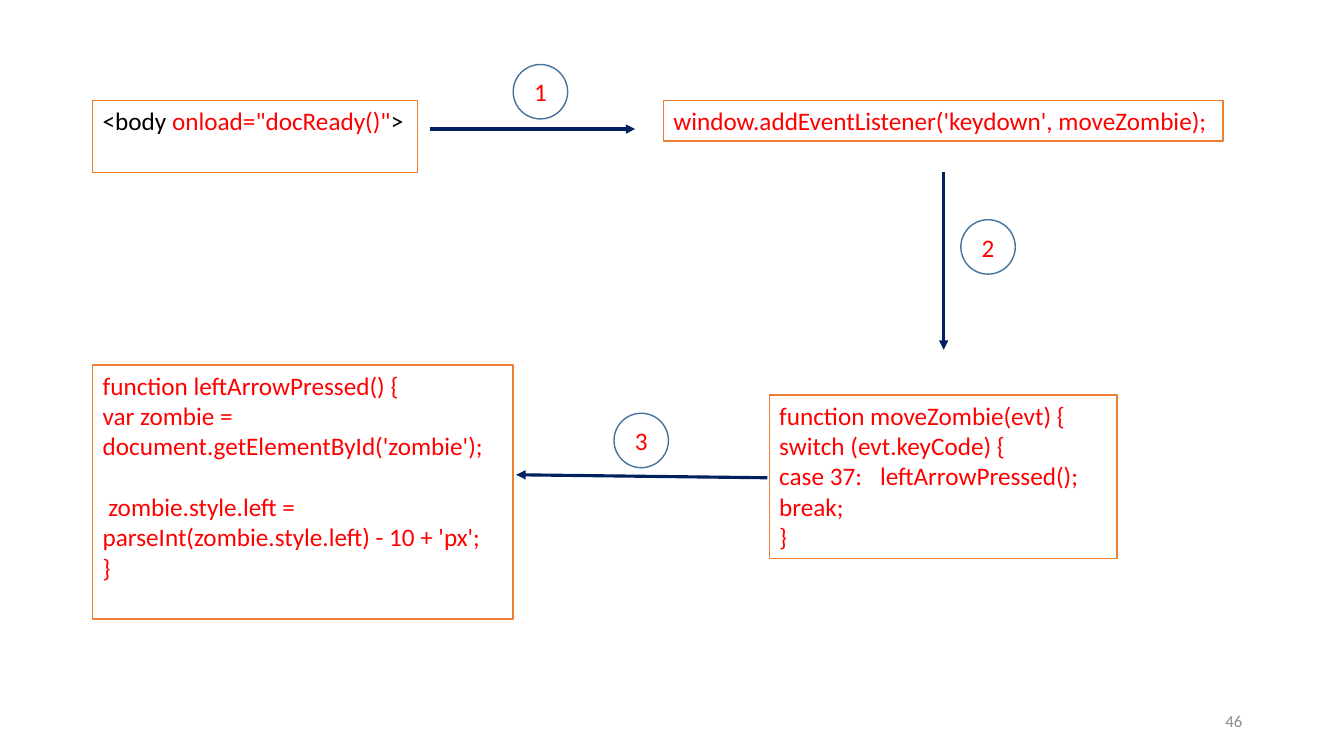
from lxml import etree
from pptx import Presentation
from pptx.dml.color import RGBColor
from pptx.enum.shapes import MSO_CONNECTOR, MSO_SHAPE
from pptx.enum.text import MSO_ANCHOR, PP_ALIGN
from pptx.oxml.ns import qn
from pptx.util import Inches, Pt

RECT, OVAL = MSO_SHAPE.RECTANGLE, MSO_SHAPE.OVAL
STRAIGHT = MSO_CONNECTOR.STRAIGHT
TOP, MIDDLE = MSO_ANCHOR.TOP, MSO_ANCHOR.MIDDLE
LEFT, CENTER, RIGHT = PP_ALIGN.LEFT, PP_ALIGN.CENTER, PP_ALIGN.RIGHT

THEME = {
    "font": "Calibri", "body": 18, "small": 12,
    "code": "FF0000", "tag": "000000", "page": "8C8C8C",
    "paper": "FFFFFF", "frame": "ED7D31", "ring": "43739E", "arrow": "002060",
}

# Content: a line is a list of (text, colour) runs or a plain string
BOXES = [
    ((0.92, 1, 3.22, 0.71),
     [[("<body ", "tag"), ('onload="docReady()"', "code"), (">", "tag")]]),
    ((6.58, 1, 5.55, 0.4),
     ["window.addEventListener('keydown', moveZombie);"]),
    ((7.63, 3.92, 3.45, 1.62),
     ["function moveZombie(evt) {", "switch (evt.keyCode) {",
      "case 37: \tleftArrowPressed();", "break;", "}"]),
    ((0.92, 3.62, 4.17, 2.52),
     ["function leftArrowPressed() {",
      "var zombie = document.getElementById('zombie');",
      " zombie.style.left = parseInt(zombie.style.left) - 10 + 'px';", "}"]),
]
GAPS = {" zombie.style.left": 22}  # points of space before a line
# Each step: arrow start, arrow end, top left of its number
STEPS = [
    ((4.27, 1.28), (6.3, 1.28), (5.09, 0.64)),
    ((9.36, 1.71), (9.36, 3.47), (9.53, 2.18)),
    ((7.61, 4.74), (5.12, 4.71), (6.09, 4.1)),
]
RING = 0.54
PAGE = ("46", (9.42, 6.95, 3, 0.4))


def color(name):
    return RGBColor.from_string(THEME[name])


def write(shape, lines, tint="code", size="body", align=LEFT, anchor=TOP):
    frame = shape.text_frame
    frame.word_wrap = True
    frame.vertical_anchor = anchor
    for i, line in enumerate(lines):
        para = frame.paragraphs[0] if i == 0 else frame.add_paragraph()
        para.alignment = align
        para.font.name = THEME["font"]
        para.font.size = Pt(THEME[size])
        if isinstance(line, str):
            para.font.color.rgb = color(tint)
            para.add_run().text = line
            for start, gap in GAPS.items():
                if line.startswith(start):
                    para.space_before = Pt(gap)
        else:
            for text, hue in line:
                run = para.add_run()
                run.text = text
                run.font.color.rgb = color(hue)


def outline(slide, kind, area, edge):
    shape = slide.shapes.add_shape(kind, *map(Inches, area))
    shape.shadow.inherit = False
    shape.line.color.rgb = color(edge)
    shape.line.width = Pt(1)
    return shape


def arrow(slide, start, end):
    link = slide.shapes.add_connector(STRAIGHT, *map(Inches, start + end))
    link.line.color.rgb = color("arrow")
    link.line.width = Pt(2.25)
    props = link.line._get_or_add_ln()
    etree.SubElement(props, qn("a:tailEnd"), type="triangle")
    etree.SubElement(link._element.spPr, qn("a:effectLst"))


def main():
    deck = Presentation()
    deck.slide_width, deck.slide_height = Inches(13.33), Inches(7.5)
    slide = deck.slides.add_slide(deck.slide_layouts[6])

    # Code boxes
    for area, lines in BOXES:
        box = outline(slide, RECT, area, "frame")
        box.fill.solid()
        box.fill.fore_color.rgb = color("paper")
        write(box, lines)

    # Arrows with step numbers
    for num, (start, end, spot) in enumerate(STEPS, 1):
        arrow(slide, start, end)
        ring = outline(slide, OVAL, spot + (RING, RING), "ring")
        ring.fill.background()
        write(ring, [str(num)], align=CENTER, anchor=MIDDLE)

    # Page number
    text, area = PAGE
    page = slide.shapes.add_textbox(*map(Inches, area))
    write(page, [text], "page", "small", RIGHT, MIDDLE)

    deck.save("out.pptx")


if __name__ == "__main__":
    main()
